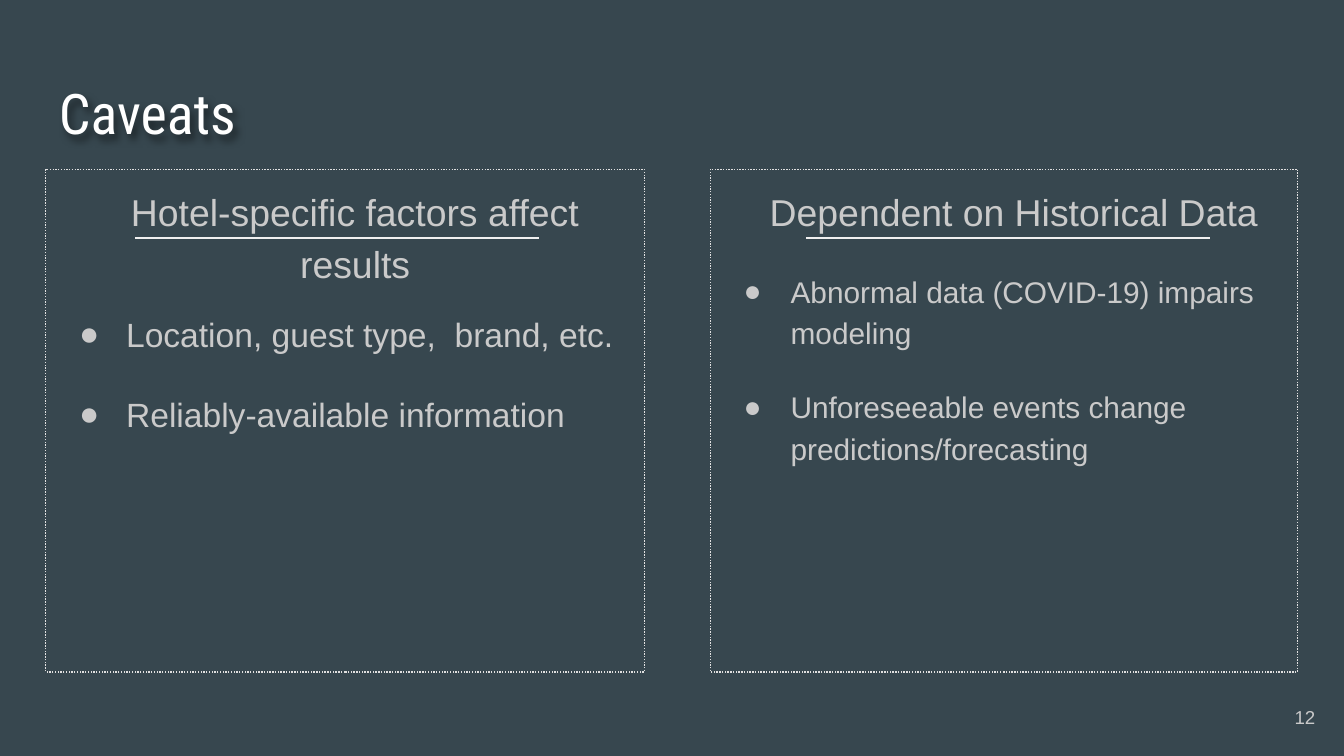
from lxml.etree import SubElement
from pptx import Presentation
from pptx.dml.color import RGBColor
from pptx.enum.dml import MSO_LINE
from pptx.enum.shapes import MSO_CONNECTOR as CONN, MSO_SHAPE as SHAPE
from pptx.enum.text import MSO_ANCHOR as ANCHOR, PP_ALIGN as ALIGN
from pptx.oxml.ns import qn
from pptx.util import Pt

EMU_PER_PX = 4572  # 200 px to the inch


def px(n):
    return n * EMU_PER_PX


def rgb(hex_color):
    return RGBColor.from_string(hex_color)


def write(p, text, size, color, font="Arial", align=ALIGN.LEFT, spacing=1.0,
          before=0, after=0, indent=0, hanging=0, bullet=None):
    p.alignment, p.line_spacing = align, spacing
    p.space_before, p.space_after = Pt(before), Pt(after)
    pPr = p._p.get_or_add_pPr()
    pPr.set("marL", str(px(indent)))
    pPr.set("indent", str(px(-hanging)))
    if bullet:
        clr = SubElement(pPr, qn("a:buClr"))
        SubElement(clr, qn("a:srgbClr"), val=color)
        SubElement(pPr, qn("a:buFont"), typeface=font)
        SubElement(pPr, qn("a:buChar"), char=bullet)
    r = p.add_run()
    r.text = text
    r.font.size, r.font.name = Pt(size), font
    r.font.color.rgb = rgb(color)


class Deck:
    BACKGROUND, TITLE, TEXT = "37474F", "FFFFFF", "CACACA"
    BORDER, RULE = "E0E0E0", "F0F0F0"
    TITLE_FONT = "Roboto Condensed"
    MARGIN = 20

    def __init__(self, w, h):
        self.prs = Presentation()
        self.prs.slide_width, self.prs.slide_height = px(w), px(h)
        self.s = self.prs.slides.add_slide(self.prs.slide_layouts[6])
        fill = self.s.background.fill
        fill.solid()
        fill.fore_color.rgb = rgb(self.BACKGROUND)

    def frame(self, sp, anchor=ANCHOR.TOP):
        """Set wrapping, anchor and margins, and return the text frame."""
        tf = sp.text_frame
        tf.word_wrap, tf.vertical_anchor = True, anchor
        tf.margin_left = tf.margin_right = px(self.MARGIN)
        tf.margin_top = tf.margin_bottom = px(self.MARGIN)
        return tf

    def text(self, x, y, w, h, text, anchor=ANCHOR.TOP, **fmt):
        sp = self.s.shapes.add_textbox(px(x), px(y), px(w), px(h))
        write(self.frame(sp, anchor).paragraphs[0], text, **fmt)
        return sp

    def title(self, x, y, w, h, text):
        sp = self.text(x, y, w, h, text, size=30, color=self.TITLE,
                       font=self.TITLE_FONT)
        effects = SubElement(sp._element.spPr, qn("a:effectLst"))
        shadow = SubElement(effects, qn("a:outerShdw"), blurRad="57150",
                            dist="38100", dir="2700000", rotWithShape="0")
        clr = SubElement(shadow, qn("a:srgbClr"), val="000000")
        SubElement(clr, qn("a:alpha"), val="50000")

    def panel(self, x, y, w, h, heading, points, size, heading_after=0):
        sp = self.s.shapes.add_shape(SHAPE.RECTANGLE, px(x), px(y), px(w), px(h))
        sp.shadow.inherit = False
        sp.fill.background()
        sp.line.color.rgb = rgb(self.BORDER)
        sp.line.width, sp.line.dash_style = Pt(0.75), MSO_LINE.ROUND_DOT
        tf = self.frame(sp)
        write(tf.paragraphs[0], heading, 20, self.TEXT, align=ALIGN.CENTER,
              spacing=1.15, after=heading_after, indent=30)
        for point in points:
            write(tf.add_paragraph(), point, size, self.TEXT, spacing=1.15,
                  before=12, after=6, indent=100, hanging=70, bullet="●")

    def rule(self, x, y, w):
        c = self.s.shapes.add_connector(CONN.STRAIGHT, px(x), px(y), px(x + w), px(y))
        c.line.color.rgb = rgb(self.RULE)
        c.line.width = Pt(0.75)
        SubElement(c._element.spPr, qn("a:effectLst"))


def main():
    deck = Deck(2000, 1125)
    deck.title(68, 97, 1864, 126, "Caveats")

    top, height = 252, 748
    deck.panel(68, top, 891, height, "Hotel-specific factors affect results",
               ["Location, guest type,  brand, etc.",
                "Reliably-available information"], size=18)
    deck.panel(1057, top, 874, height, "Dependent on Historical Data",
               ["Abnormal data (COVID-19) impairs modeling",
                "Unforeseeable events change predictions/forecasting"],
               size=16, heading_after=6)

    deck.text(1857, 1024, 120, 86, "12", anchor=ANCHOR.MIDDLE, size=10,
              color=Deck.TEXT, align=ALIGN.RIGHT)
    for x in (201, 1200):
        deck.rule(x, 354, 601)
    deck.prs.save("out.pptx")


if __name__ == "__main__":
    main()
